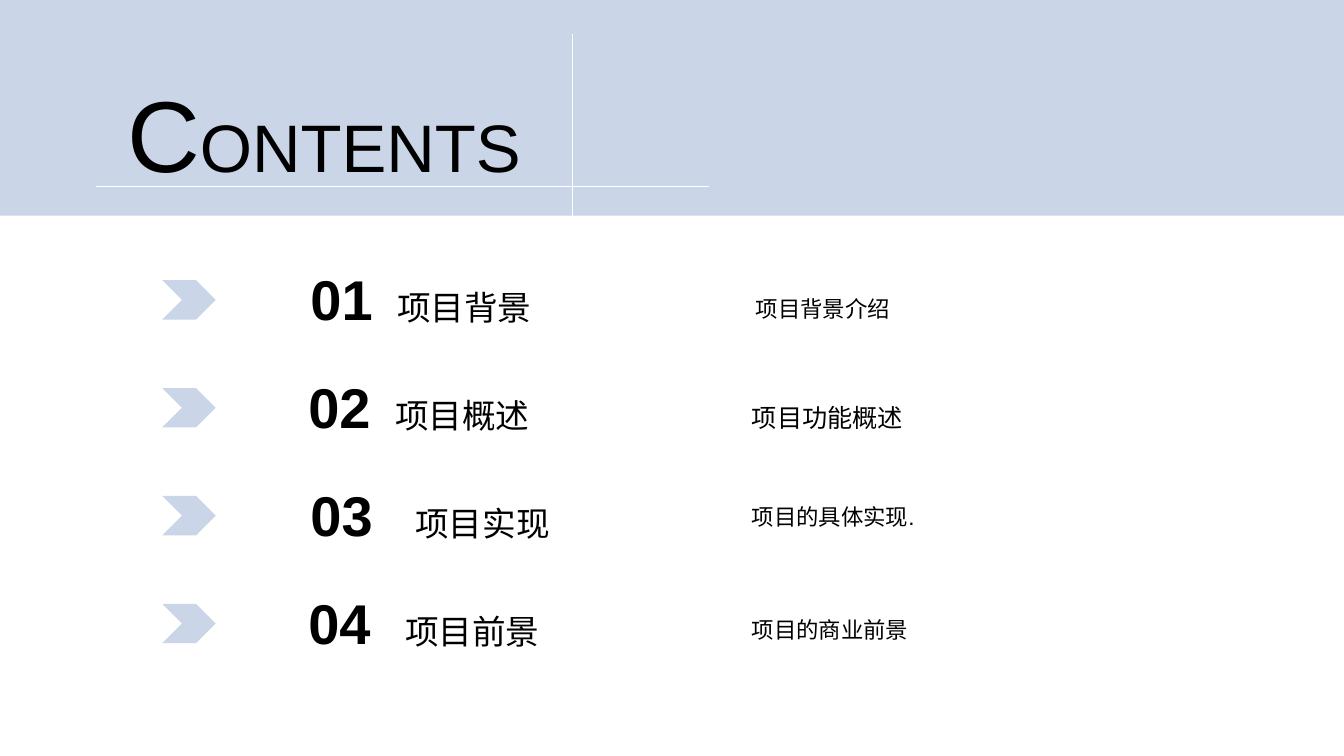
from lxml import etree
from pptx import Presentation
from pptx.dml.color import RGBColor
from pptx.enum.shapes import MSO_CONNECTOR, MSO_SHAPE
from pptx.enum.text import MSO_ANCHOR, MSO_AUTO_SIZE, PP_ALIGN
from pptx.oxml.ns import qn
from pptx.util import Inches, Pt

RECT, CHEVRON = MSO_SHAPE.RECTANGLE, MSO_SHAPE.CHEVRON
STRAIGHT = MSO_CONNECTOR.STRAIGHT
TOP, LEFT = MSO_ANCHOR.TOP, PP_ALIGN.LEFT
NO_FIT = MSO_AUTO_SIZE.NONE
FONT = "Arial"
BLACK, WHITE, PALE_BLUE = "000000", "FFFFFF", "CAD5E8"
ROW_TOP, ROW_PITCH = 2.58, 1.07

# number, heading, number left, heading tab, detail, detail top, detail indent, detail size
ROWS = [
    ("01", "项目背景", 2.98, 0.86, "项目背景介绍", 2.88, 1.04, 16),
    ("02", "项目概述", 2.96, 0.86, "项目功能概述", 3.94, 1, 18),
    ("03", "项目实现", 2.98, 1.04, "项目的具体实现.", 4.94, 1, 16),
    ("04", "项目前景", 2.96, 0.96, "项目的商业前景", 6.06, 1, 16),
]


def rgb(value):
    return RGBColor.from_string(value)


def add_block(slide, kind, x, y, w, h):
    sp = slide.shapes.add_shape(kind, Inches(x), Inches(y), Inches(w), Inches(h))
    sp.shadow.inherit = False
    sp.fill.solid()
    sp.fill.fore_color.rgb = rgb(PALE_BLUE)
    sp.line.fill.background()
    return sp


def add_rule(slide, x1, y1, x2, y2):
    line = slide.shapes.add_connector(
        STRAIGHT, Inches(x1), Inches(y1), Inches(x2), Inches(y2))
    line.line.color.rgb = rgb(WHITE)
    line.line.width = Pt(1)
    etree.SubElement(line.element.spPr, qn("a:effectLst"))


def add_box(slide, x, y, w, h):
    tf = slide.shapes.add_textbox(
        Inches(x), Inches(y), Inches(w), Inches(h)).text_frame
    tf.word_wrap = True
    return tf


def style_paragraph(p):
    p.alignment = LEFT
    p.font.name = FONT
    p.font.color.rgb = rgb(BLACK)


def add_run(p, text, size, bold=False):
    r = p.add_run()
    r.text = text
    r.font.size = Pt(size)
    r.font.bold = bold


def set_tab(p, position):
    tabs = etree.SubElement(p._p.get_or_add_pPr(), qn("a:tabLst"))
    etree.SubElement(tabs, qn("a:tab"), pos=str(Inches(position)), algn="l")


def add_title(slide):
    title = slide.shapes.title
    title.left, title.top = Inches(1.16), Inches(0.66)
    title.width, title.height = Inches(4.2), Inches(1.31)
    tf = title.text_frame
    tf.vertical_anchor = TOP
    tf.auto_size = NO_FIT
    tf.word_wrap = True
    p = tf.paragraphs[0]
    style_paragraph(p)
    add_run(p, "C", 72)
    add_run(p, "ONTENTS", 48)
    return title


def add_heading(slide, x, y, number, text, tab):
    p = add_box(slide, x, y, 3.22, 0.77).paragraphs[0]
    set_tab(p, tab)
    style_paragraph(p)
    add_run(p, number, 40, True)
    add_run(p, "\t" + text, 24)


def add_detail(slide, y, text, indent, size):
    tf = add_box(slide, 6.36 + indent, y, 4, 0.37)
    p = tf.paragraphs[0]
    p.text = text
    style_paragraph(p)
    p.font.size = Pt(size)


def main():
    prs = Presentation()
    prs.slide_width, prs.slide_height = Inches(13.33), Inches(7.5)
    slide = prs.slides.add_slide(prs.slide_layouts[5])

    title = add_title(slide)
    band = add_block(slide, RECT, 0, 0, 13.33, 2.14)
    title.element.addprevious(band.element)

    for i, (number, heading, x, tab, detail, detail_top, indent, size) in enumerate(ROWS):
        y = ROW_TOP + i * ROW_PITCH
        add_block(slide, CHEVRON, 1.61, y + 0.2, 0.53, 0.39)
        add_heading(slide, x, y, number, heading, tab)
        add_detail(slide, detail_top, detail, indent, size)

    add_rule(slide, 0.95, 1.85, 7.03, 1.85)
    add_rule(slide, 5.68, 0.34, 5.68, 2.14)
    prs.save("out.pptx")


if __name__ == "__main__":
    main()
